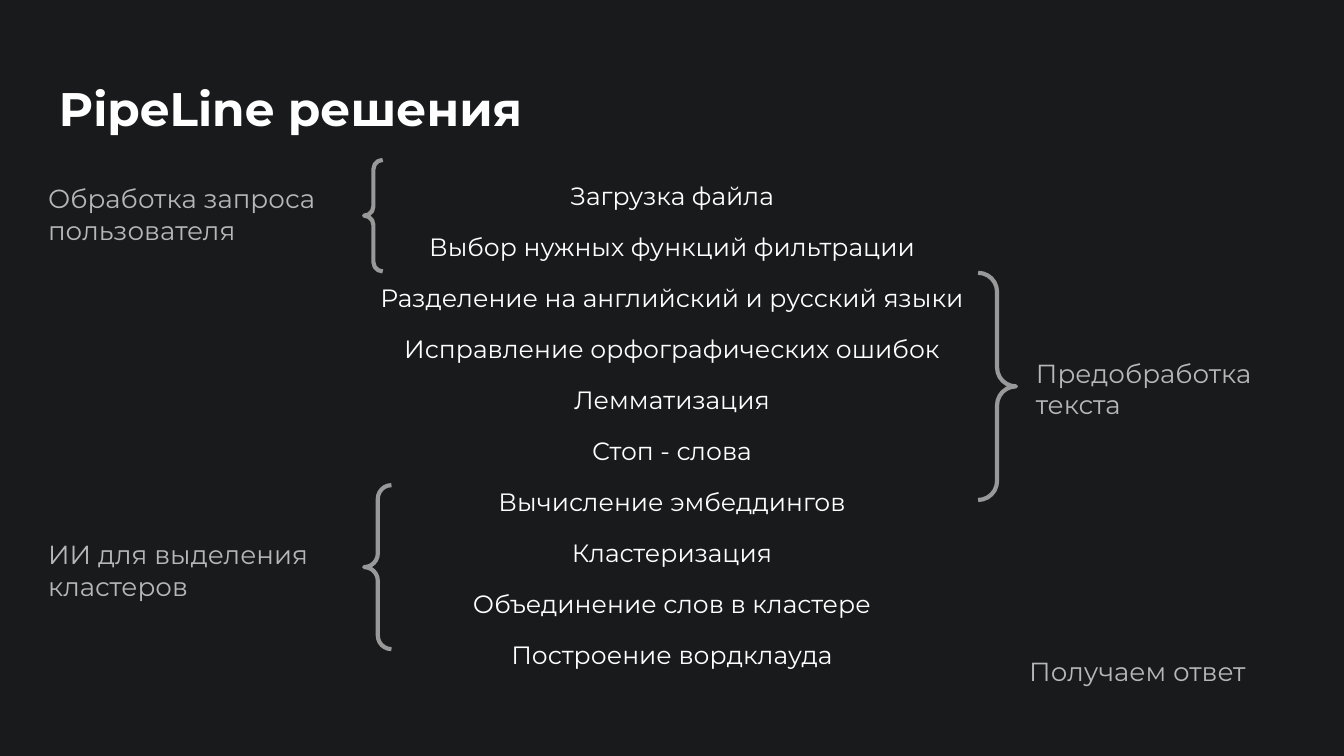
"""Build the solution pipeline slide with its steps, braces and stage labels."""
from pptx import Presentation
from pptx.dml.color import RGBColor
from pptx.enum.shapes import MSO_SHAPE
from pptx.enum.text import PP_ALIGN
from pptx.util import Inches, Pt

BRACE = MSO_SHAPE.DOUBLE_BRACE
CENTER, START = PP_ALIGN.CENTER, PP_ALIGN.LEFT
DARK = RGBColor(0x19, 0x1A, 0x1C)
WHITE = RGBColor(0xFF, 0xFF, 0xFF)
SILVER = RGBColor(0xB7, 0xB7, 0xB7)
GRAY = RGBColor(0x99, 0x99, 0x99)

STEPS = [
    "Загрузка файла",
    "Выбор нужных функций фильтрации",
    "Разделение на английский и русский языки",
    "Исправление орфографических ошибок",
    "Лемматизация",
    "Стоп - слова",
    "Вычисление эмбеддингов",
    "Кластеризация",
    "Объединение слов в кластере",
    "Построение вордклауда",
]
LABELS = [
    ("Обработка запроса пользователя", 0.26, 1.26),
    ("Предобработка текста", 7.61, 2.56),
    ("ИИ для выделения кластеров", 0.26, 3.91),
    ("Получаем ответ", 7.56, 4.78),
]
BRACES = [(2.71, 1.19, 0.83), (-1.87, 2.03, 1.69), (2.71, 3.61, 1.22)]


def add_text(lines, x, y, w, h, size, color, bold=False, align=START):
    box = slide.shapes.add_textbox(Inches(x), Inches(y), Inches(w), Inches(h))
    frame = box.text_frame
    frame.word_wrap = True
    frame.margin_left = frame.margin_right = Inches(0.1)
    frame.margin_top = frame.margin_bottom = Inches(0.1)
    frame.text = "\n".join(lines)
    for par in frame.paragraphs:
        par.alignment = align
        for run in par.runs:
            run.font.name = "Montserrat"
            run.font.size = Pt(size)
            run.font.bold = bold
            run.font.color.rgb = color
    return frame


prs = Presentation()
prs.slide_width = Inches(10)
prs.slide_height = Inches(10 * 9 / 16)
slide = prs.slides.add_slide(prs.slide_layouts[6])
slide.background.fill.solid()
slide.background.fill.fore_color.rgb = DARK

add_text(["PipeLine решения"], 0.34, 0.49, 9.32, 0.63, 25.2, WHITE, bold=True)

steps = add_text(STEPS, 0.34, 1.26, 9.32, 4.07, 13.4, WHITE, align=CENTER)
for i, par in enumerate(steps.paragraphs):
    par.line_spacing = 0.95
    if i:
        par.space_before = Pt(12)
par.space_after = Pt(12)

for x, y, h in BRACES:
    brace = slide.shapes.add_shape(BRACE, Inches(x), Inches(y), Inches(9.43), Inches(h))
    brace.shadow.inherit = False
    brace.fill.background()
    brace.line.color.rgb = GRAY
    brace.line.width = Pt(2.25)

for label, x, y in LABELS:
    add_text([label], x, y, 2.33, 0.63, 14, SILVER)

prs.save("out.pptx")
